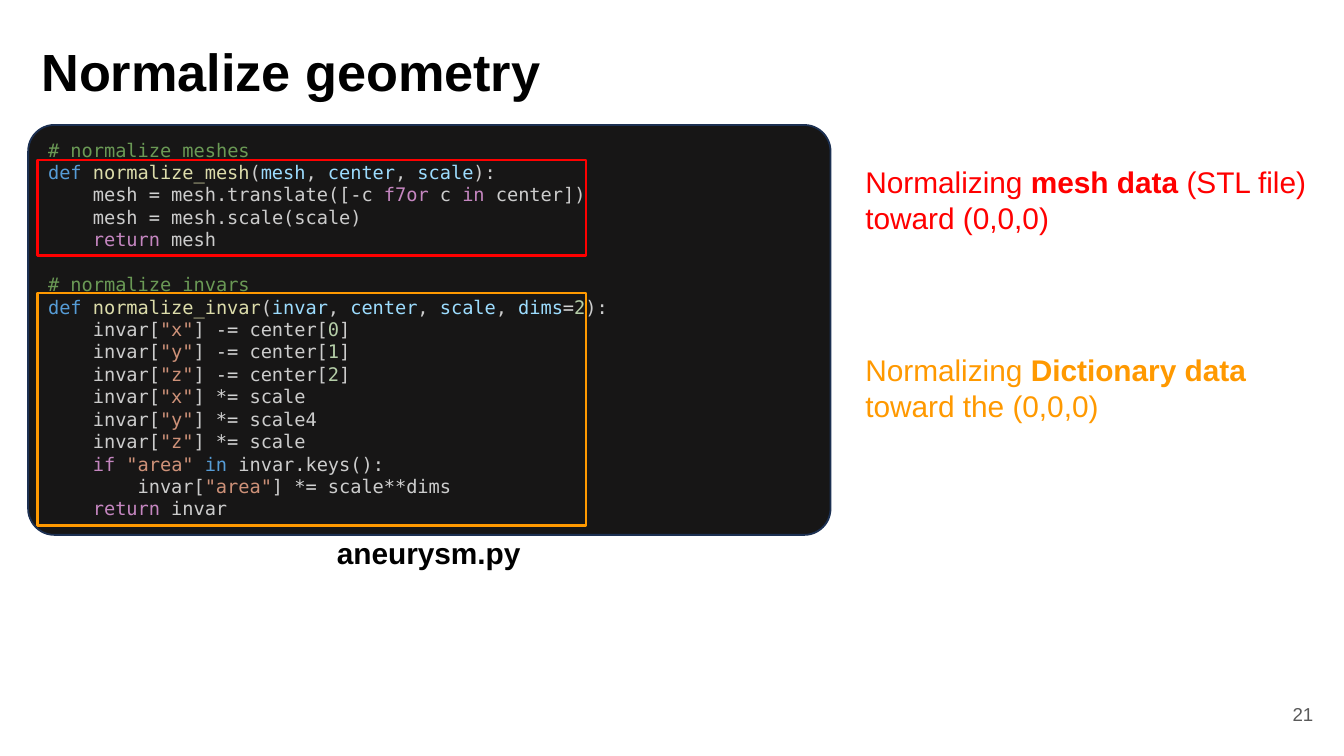
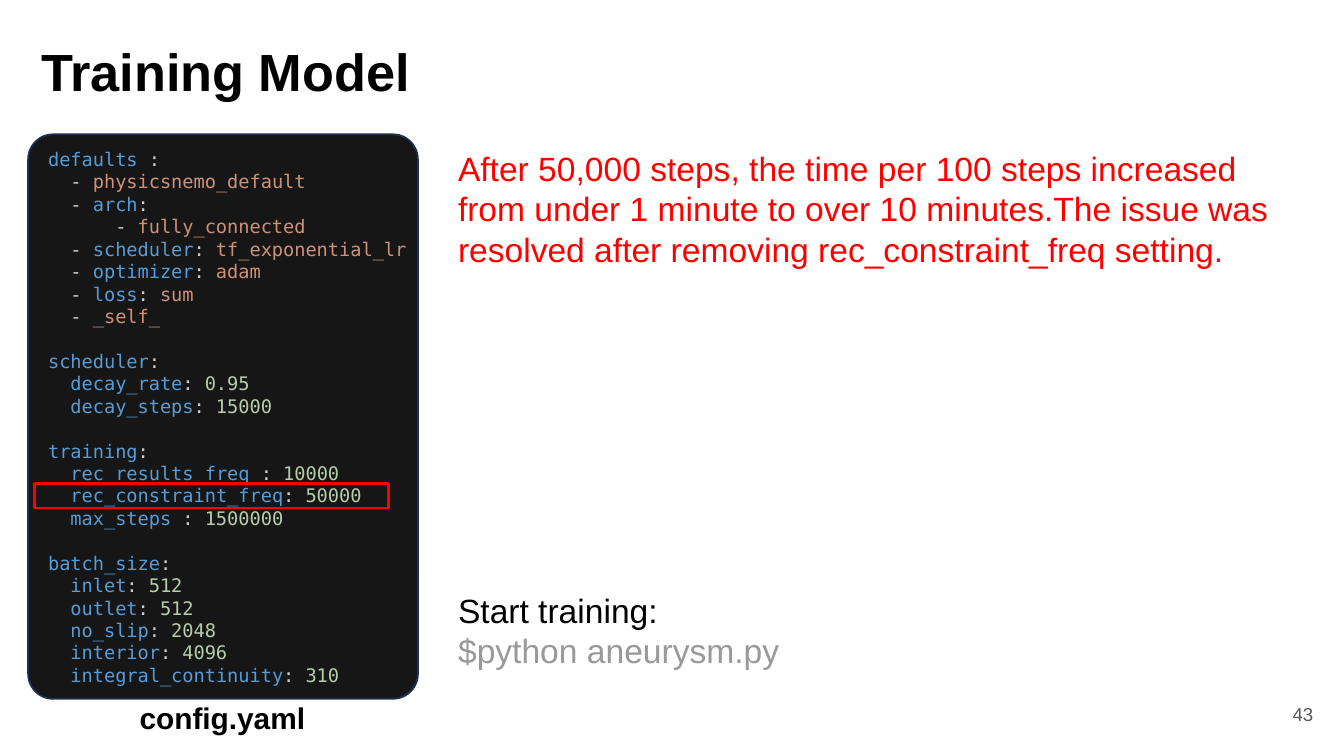
from pptx import Presentation
from pptx.dml.color import RGBColor
from pptx.enum.shapes import MSO_SHAPE
from pptx.enum.text import MSO_ANCHOR, PP_ALIGN
from pptx.util import Inches, Pt

SANS, MONO = "Arial", "DejaVu Sans Mono"
BLACK, RED, ORANGE, GREY = "000000", "FF0000", "FF9900", "999999"
PANEL_FILL, PANEL_LINE, NUMBER = "171616", "1C3052", "595959"
PANEL_LEFT, CODE_LEFT = 0.21, 0.26
CODE_SIZE, CODE_PITCH = 10, 12
CODE = "CCCCCC"
SYNTAX = {
    "comment": "6A9955", "key": "569CD6", "func": "DCDCAA", "arg": "9CDCFE",
    "op": "D4D4D4", "flow": "C586C0", "num": "B5CEA8", "str": "CE9178",
}

# Marked text: {style|words}; an empty line is a gap.
PYTHON = """\
{comment|# normalize meshes}
{key|def }{func|normalize_mesh}({arg|mesh}, {arg|center}, {arg|scale}):
    mesh {op|=} mesh.translate([{op|-}c {flow|f7or} c {flow|in} center])
    mesh {op|=} mesh.scale(scale)
    {flow|return} mesh

{comment|# normalize invars}
{key|def }{func|normalize_invar}({arg|invar}, {arg|center}, {arg|scale}, {arg|dims}{op|=}{num|2}):
    invar[{str|"x"}] {op|-=} center[{num|0}]
    invar[{str|"y"}] {op|-=} center[{num|1}]
    invar[{str|"z"}] {op|-=} center[{num|2}]
    invar[{str|"x"}] {op|*=} scale
    invar[{str|"y"}] {op|*=} scale4
    invar[{str|"z"}] {op|*=} scale
    {flow|if }{str|"area" }{key|in} invar.keys():
        invar[{str|"area"}] {op|*=} scale{op|**}dims
    {flow|return} invar"""

YAML = """\
defaults :
  - physicsnemo_default
  - arch:
      - fully_connected
  - scheduler: tf_exponential_lr
  - optimizer: adam
  - loss: sum
  - _self_

scheduler:
  decay_rate: 0.95
  decay_steps: 15000

training:
  rec_results_freq : 10000
  rec_constraint_freq: 50000
  max_steps : 1500000

batch_size:
  inlet: 512
  outlet: 512
  no_slip: 2048
  interior: 4096
  integral_continuity: 310"""


def mark_yaml(line):
    """Mark the key and the value of one YAML line."""
    body = line.lstrip(" -")
    lead = line[:len(line) - len(body)]
    key, colon, value = body.partition(":")
    if not colon:
        return f"{lead}{{str|{body}}}" if body else ""
    name, value = key.rstrip(), value.strip()
    marked = f"{lead}{{key|{name}}}{key[len(name):]}:"
    if value:
        style = "num" if value[0].isdigit() else "str"
        marked += f" {{{style}|{value}}}"
    return marked


SLIDES = [
    {
        "title": ("Normalize geometry", 8.34), "number": "21",
        "panel": (0.93, 5.97, 3.05), "code": PYTHON.split("\n"), "code_size": (5.97, 3.9),
        "caption": ("aneurysm.py", (0.69, 3.93, 5, 0.37)),
        "frames": [((0.28, 1.19, 4.08, 0.71), RED), ((0.28, 2.18, 4.08, 1.73), ORANGE)],
        "notes": [
            ((6.34, 1.12, 3.62, 0.74), 16,
             [("Normalizing {bold|mesh data} (STL file) toward (0,0,0)", RED)]),
            ((6.34, 2.52, 3.66, 0.74), 16,
             [("Normalizing {bold|Dictionary data} toward the (0,0,0)", ORANGE)]),
        ],
    },
    {
        "title": ("Training Model", 7.31), "number": "43",
        "panel": (1, 2.9, 4.2), "code": [mark_yaml(line) for line in YAML.split("\n")],
        "code_size": (5.14, 4.41),
        "caption": ("config.yaml", (0.5, 5.16, 2.31, 0.37)),
        "frames": [((0.26, 3.6, 2.63, 0.18), RED)],
        "notes": [
            ((3.31, 4.29, 4.21, 0.81), 18,
             [("Start training:", BLACK), ("$python aneurysm.py", GREY)]),
            ((3.31, 1, 6.56, 1.11), 18,
             [("After 50,000 steps, the time per 100 steps increased from under 1 minute "
               "to over 10 minutes.The issue was resolved after removing "
               "rec_constraint_freq setting.", RED)]),
        ],
    },
]


def rgb(value):
    return RGBColor.from_string(value)


def split_runs(text):
    """Yield (style, words) for marked text; plain words have style None."""
    for part in text.split("{"):
        marked, brace, plain = part.partition("}")
        if brace:
            yield tuple(marked.split("|", 1))
        else:
            plain = part
        if plain:
            yield None, plain


def add_text(s, at, lines, size, font=SANS, bold=None, align=PP_ALIGN.LEFT,
             anchor=MSO_ANCHOR.TOP, inset=0.1):
    """Add a text box from (marked text, colour) lines."""
    tf = s.shapes.add_textbox(*map(Inches, at)).text_frame
    tf.word_wrap = True
    tf.vertical_anchor = anchor
    tf.margin_left = tf.margin_right = Inches(0.1)
    tf.margin_top = tf.margin_bottom = Inches(inset)
    p, gap = None, 0
    for text, color in lines:
        if not text:
            gap += CODE_PITCH
            continue
        p = tf.add_paragraph() if p else tf.paragraphs[0]
        p.alignment = align
        if gap:
            p.space_before, gap = Pt(gap), 0
        p.font.name, p.font.size, p.font.bold = font, Pt(size), bold
        p.font.color.rgb = rgb(color)
        for style, words in split_runs(text):
            r = p.add_run()
            r.text = words
            if style == "bold":
                r.font.bold = True
            elif style:
                r.font.color.rgb = rgb(SYNTAX[style])


def add_box(s, kind, at, line, width, fill=None):
    box = s.shapes.add_shape(kind, *map(Inches, at))
    box.shadow.inherit = False
    if fill:
        box.fill.solid()
        box.fill.fore_color.rgb = rgb(fill)
    else:
        box.fill.background()
    box.line.color.rgb = rgb(line)
    box.line.width = Pt(width)
    return box


def add_code_slide(prs, content):
    s = prs.slides.add_slide(prs.slide_layouts[6])
    title, width = content["title"]
    add_text(s, (PANEL_LEFT, 0.3, width, 0.56), [(title, BLACK)], 28,
             bold=True, anchor=MSO_ANCHOR.BOTTOM)
    add_text(s, (9.27, 5.1, 0.6, 0.43), [(content["number"], NUMBER)], 10,
             align=PP_ALIGN.RIGHT, anchor=MSO_ANCHOR.MIDDLE)
    top = content["panel"][0]
    panel = add_box(s, MSO_SHAPE.ROUNDED_RECTANGLE, (PANEL_LEFT, *content["panel"]),
                    PANEL_LINE, 0.97, PANEL_FILL)
    panel.adjustments[0] = 0.064
    add_text(s, (CODE_LEFT, top, *content["code_size"]),
             [(line, CODE) for line in content["code"]], CODE_SIZE, MONO)
    for at, size, lines in content["notes"]:
        add_text(s, at, lines, size)
    for at, color in content["frames"]:
        add_box(s, MSO_SHAPE.RECTANGLE, at, color, 1.5)
    name, at = content["caption"]
    add_text(s, at, [(name, BLACK)], 16, bold=True, align=PP_ALIGN.CENTER, inset=0.05)


def main():
    prs = Presentation()
    prs.slide_width = Inches(10)
    prs.slide_height = prs.slide_width * 9 // 16
    for content in SLIDES:
        add_code_slide(prs, content)
    prs.save("out.pptx")


if __name__ == "__main__":
    main()
